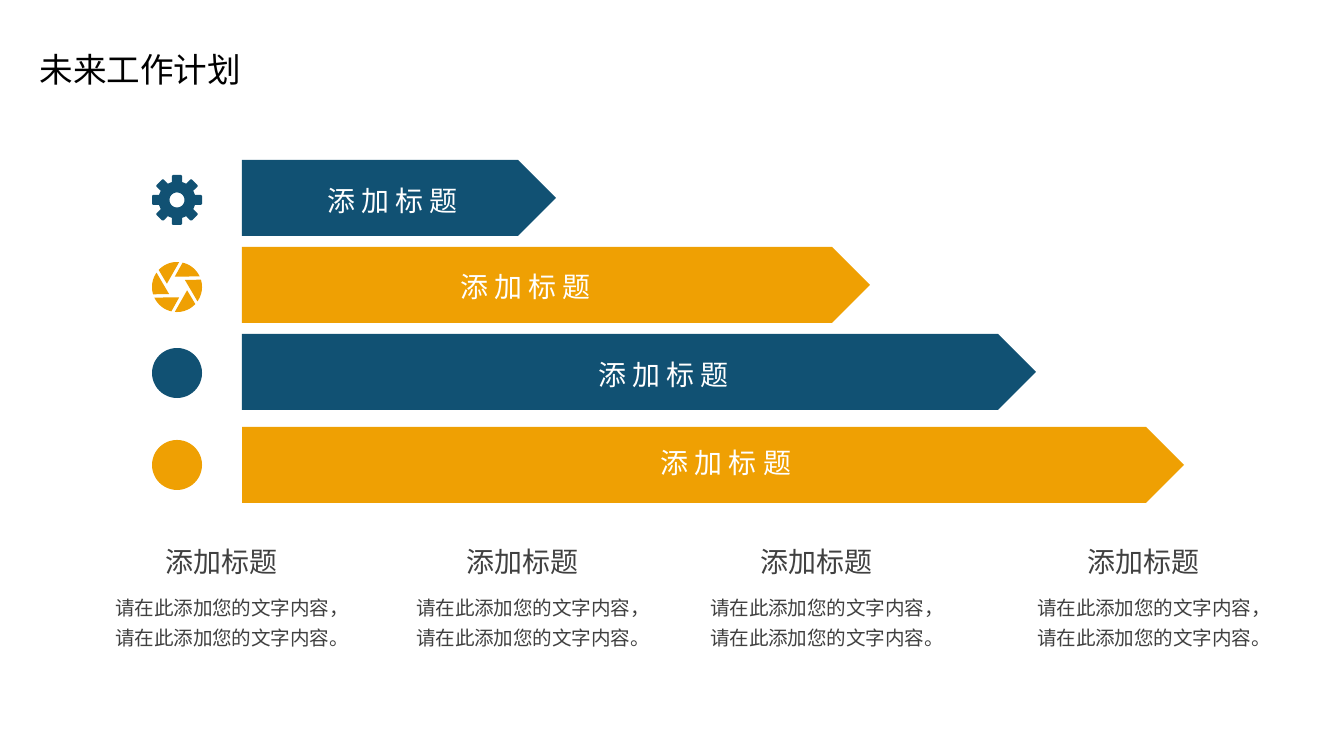
import math
import pptx
import pptx.util
import pptx.dml.color
import pptx.enum.shapes
import pptx.enum.text
import pptx.oxml.ns

# Content
TITLE = "未来工作计划"
# icon, colour, bar top, bar width, icon top, label left, label top
BARS = [
    ("gear", "blue", 160, 314, 175, 314, 177),
    ("aperture", "orange", 247, 628, 262, 447, 263),
    ("disc", "blue", 334, 794, 348, 585, 351),
    ("disc", "orange", 427, 942, 440, 647, 439),
]
BAR_LABEL = "添 加 标 题"
COLUMN_LEFTS = [102, 403, 697, 1024]
COLUMN_HEADING = "添加标题"
COLUMN_BODY = "请在此添加您的文字内容，请在此添加您的文字内容。"

# Theme and layout
THEME = {
    "font": "Noto Sans CJK SC",
    "blue": "115173", "orange": "EFA003", "white": "FFFFFF",
    "black": "000000", "grey": "404040",
    "title": 18, "heading": 15, "body": 10.5,
}
PX = 914400 / 134.4
BAR_LEFT, BAR_HEIGHT = 242, 76
ICON_LEFT, ICON_SIZE = 152, 50
SHAPES = pptx.enum.shapes.MSO_SHAPE


def emu(*pixels):
    return [round(v * PX) for v in pixels]


def paint(sp, color):
    sp.shadow.inherit = False
    sp.fill.solid()
    sp.fill.fore_color.rgb = pptx.dml.color.RGBColor.from_string(THEME[color])
    sp.line.fill.background()


def write(sp, text, size, color, spacing=None, wrap=True):
    tf = sp.text_frame
    tf.word_wrap = wrap
    tf.auto_size = pptx.enum.text.MSO_AUTO_SIZE.NONE
    tf.vertical_anchor = pptx.enum.text.MSO_ANCHOR.TOP
    tf.text = text
    p = tf.paragraphs[0]
    p.alignment = pptx.enum.text.PP_ALIGN.LEFT
    if spacing:
        p.line_spacing = spacing
    r = p.runs[0]
    r.font.name = THEME["font"]
    r.font.size = pptx.util.Pt(THEME[size])
    r.font.color.rgb = pptx.dml.color.RGBColor.from_string(THEME[color])
    ea = r.font._element.makeelement(pptx.oxml.ns.qn("a:ea"), {"typeface": THEME["font"]})
    r.font._element.append(ea)


def polar(radius, degrees):
    a = math.radians(degrees)
    return radius * math.cos(a), radius * math.sin(a)


def arc(radius, start, end, steps):
    return [polar(radius, start + (end - start) * i / steps) for i in range(steps + 1)]


def gear_outlines():
    tooth = [(18, -5), (24, -5), (25, -4), (25, 4), (24, 5), (18, 5)]
    rim = [polar(math.hypot(x, y), math.degrees(math.atan2(y, x)) + 45 * i)
           for i in range(8) for x, y in tooth]
    return [rim, arc(7.5, 360, 0, 36)]


def aperture_outlines():
    return [arc(25, turn - 85, turn - 137, 12) + [polar(10.6, turn - 162)]
            for turn in range(0, 360, 60)]


def add_icon(kind, top, color):
    if kind == "disc":
        sp = s.shapes.add_shape(SHAPES.OVAL, *emu(ICON_LEFT, top, ICON_SIZE, ICON_SIZE))
    else:
        outlines = gear_outlines() if kind == "gear" else aperture_outlines()
        cx, cy = ICON_LEFT + ICON_SIZE / 2, top + ICON_SIZE / 2
        builder = None
        for outline in outlines:
            points = [emu(cx + x, cy + y) for x, y in outline]
            if builder is None:
                builder = s.shapes.build_freeform(*points[0])
            else:
                builder.move_to(*points[0])
            builder.add_line_segments(points[1:], close=True)
        sp = builder.convert_to_shape()
    paint(sp, color)


prs = pptx.Presentation()
prs.slide_width, prs.slide_height = emu(1344, 756)
s = prs.slides.add_slide(prs.slide_layouts[5])

# Title
title = s.shapes.title
title.left, title.top, title.width, title.height = emu(26, 42, 231, 54)
write(title, TITLE, "title", "black", wrap=False)

# Arrow bars with icons and labels
for icon, color, top, width, icon_top, label_left, label_top in BARS:
    bar = s.shapes.add_shape(SHAPES.PENTAGON, *emu(BAR_LEFT, top, width, BAR_HEIGHT))
    paint(bar, color)
    add_icon(icon, icon_top, color)
    label = s.shapes.add_textbox(*emu(label_left, label_top, 170, 54))
    write(label, BAR_LABEL, "heading", "white")

# Text columns
for left in COLUMN_LEFTS:
    heading = s.shapes.add_textbox(*emu(left + 50, 538, 144, 47))
    write(heading, COLUMN_HEADING, "heading", "grey")
    body = s.shapes.add_textbox(*emu(left, 582, 245, 75))
    write(body, COLUMN_BODY, "body", "grey", spacing=1.3)

prs.save("out.pptx")
